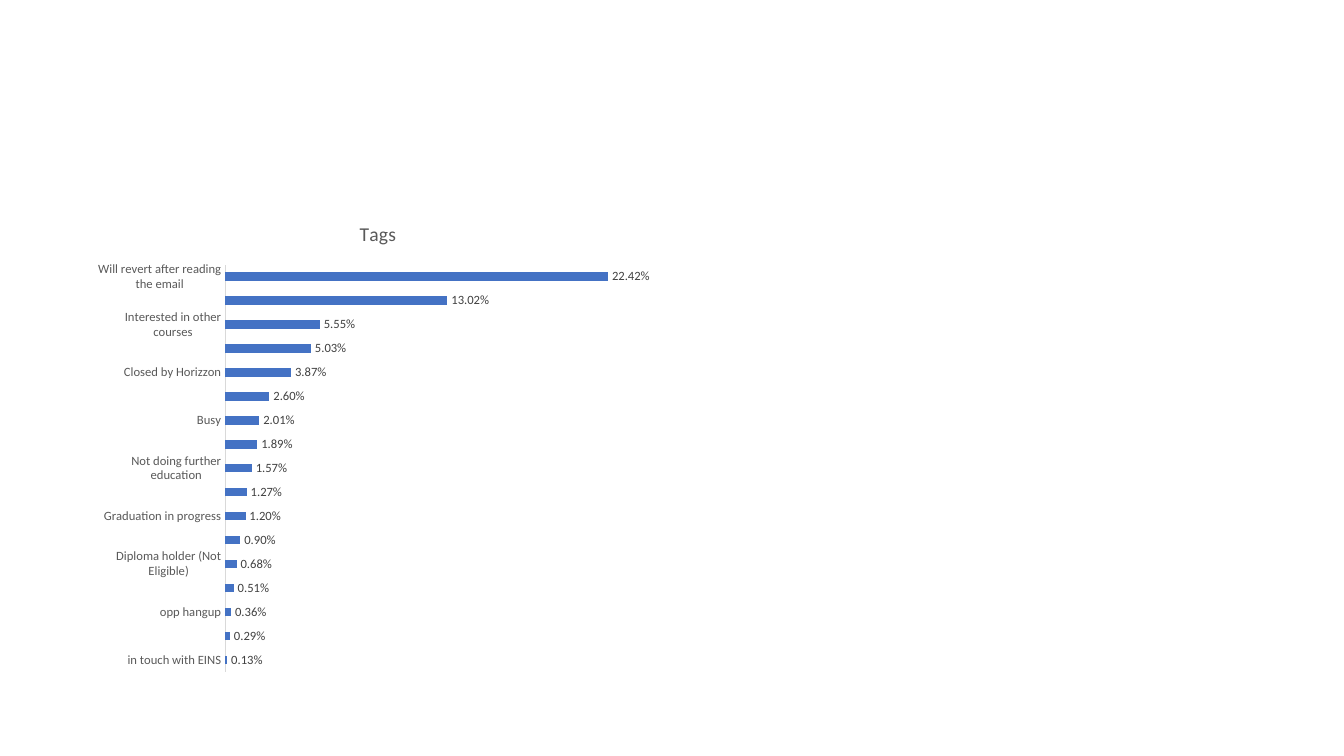
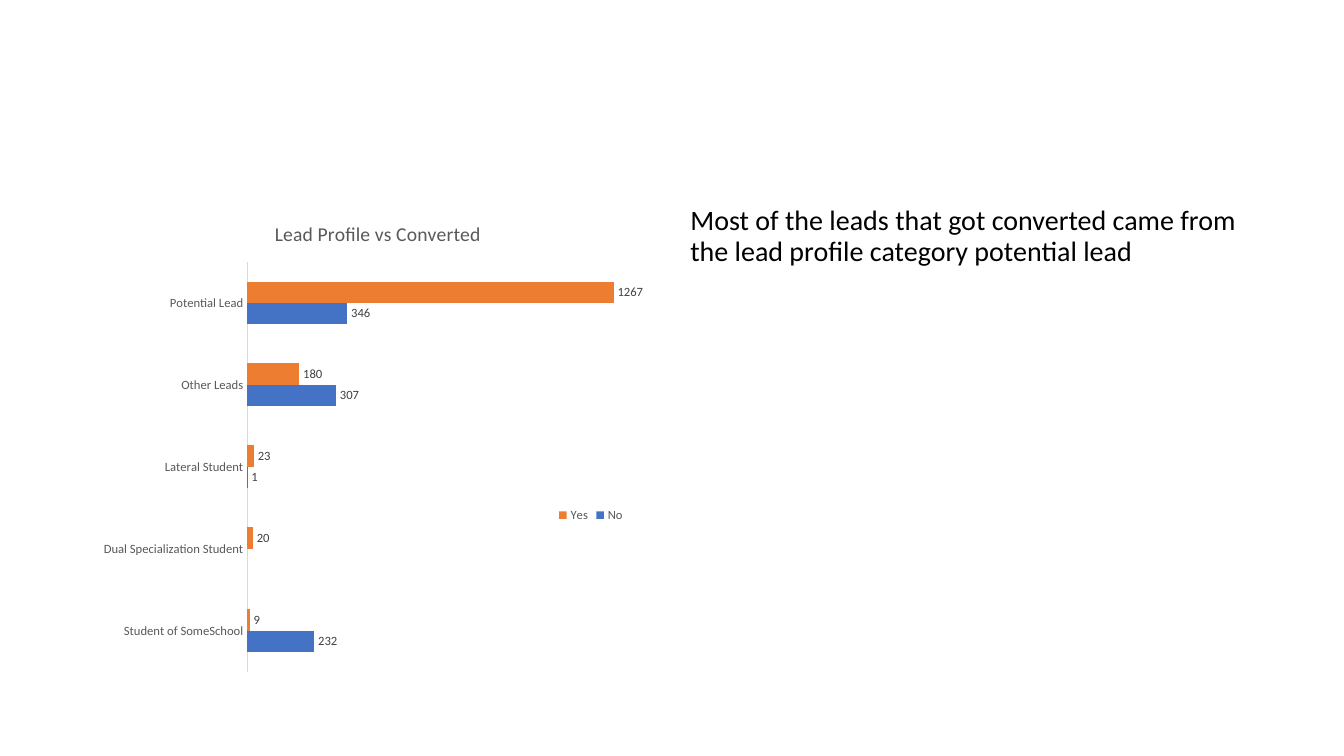
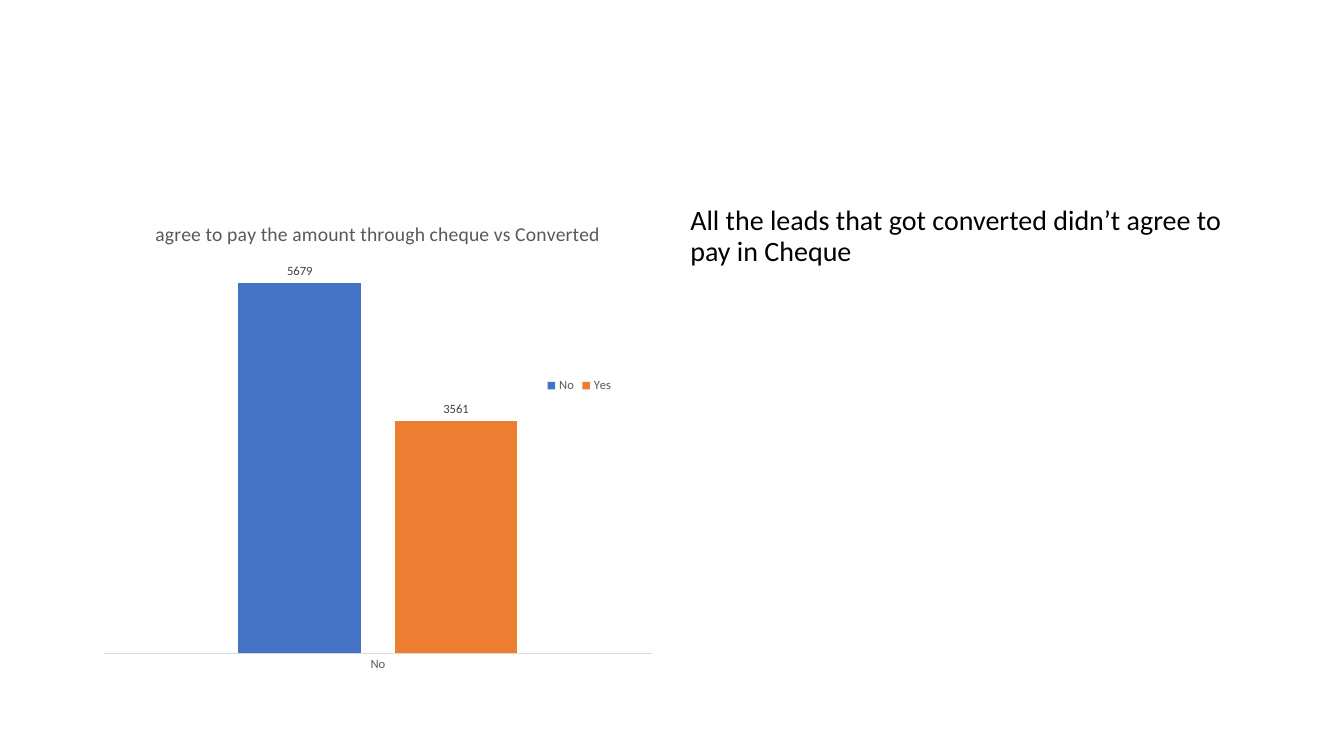
from pptx import Presentation, util as u
from pptx.chart import data as chart_data
from pptx.dml.color import RGBColor
from pptx.enum import chart as kinds
from pptx.oxml import parse_xml
from pptx.oxml.ns import nsdecls, qn


def color(value):
    return RGBColor.from_string(value)


class Deck:
    """Hold the shared style, the deck and its current page."""

    SCALE = 9525
    FONT = "Calibri"
    BLUE, ORANGE = "4472C4", "ED7D31"
    GREY, DARK, RULE, BLACK = "595959", "404040", "D9D9D9", "000000"
    TOP, WIDTH, HEIGHT = 192, 544, 457
    LEFT, RIGHT = 88, 648

    def __init__(self):
        self.deck = Presentation()
        self.deck.slide_width = self.px(1280)
        self.deck.slide_height = self.px(720)
        self.page = None

    def px(self, length):
        return u.Emu(length * self.SCALE)

    def frame(self, left):
        return [self.px(n) for n in (left, self.TOP, self.WIDTH, self.HEIGHT)]

    def style(self, font, size, shade):
        font.name = self.FONT
        font.size = u.Pt(size)
        font.bold = False
        font.color.rgb = color(shade)

    def add_page(self):
        self.page = self.deck.slides.add_slide(self.deck.slide_layouts[6])

    def add_finding(self, words):
        box = self.page.shapes.add_textbox(*self.frame(self.RIGHT))
        box.text_frame.word_wrap = True
        para = box.text_frame.paragraphs[0]
        para.line_spacing = 0.9
        span = para.add_run()
        span.text = words
        self.style(span.font, 20, self.BLACK)

    def add_bars(self, kind, title, categories, series, gap,
                 overlap=0, number_format="General", legend_at=None):
        data = chart_data.CategoryChartData(number_format=number_format)
        data.categories = categories
        for name, values in series:
            data.add_series(name, values)
        chart = self.page.shapes.add_chart(
            kind, *self.frame(self.LEFT), data).chart
        self.style(chart.font, 10, self.BLACK)
        self.add_title(chart, title)
        self.style_axes(chart)
        plot = chart.plots[0]
        plot.gap_width = gap
        plot.overlap = overlap
        plot.vary_by_categories = False
        for bars, fill in zip(plot.series, (self.BLUE, self.ORANGE)):
            bars.invert_if_negative = False
            bars.format.fill.solid()
            bars.format.fill.fore_color.rgb = color(fill)
            labels = bars.data_labels
            labels.show_value = True
            labels.position = kinds.XL_LABEL_POSITION.OUTSIDE_END
            labels.number_format = number_format
            labels.number_format_is_linked = False
            self.style(labels.font, 9, self.DARK)
        chart.has_legend = legend_at is not None
        if legend_at:
            self.place_legend(chart, *legend_at)

    def add_title(self, chart, title):
        chart.has_title = True
        chart.chart_title.include_in_layout = False
        span = chart.chart_title.text_frame.paragraphs[0].add_run()
        span.text = title
        self.style(span.font, 14, self.GREY)

    def style_axes(self, chart):
        axis = chart.category_axis
        axis.major_tick_mark = kinds.XL_TICK_MARK.NONE
        axis.minor_tick_mark = kinds.XL_TICK_MARK.NONE
        axis.format.line.color.rgb = color(self.RULE)
        axis.format.line.width = u.Pt(0.75)
        self.style(axis.tick_labels.font, 9, self.GREY)
        chart.value_axis.visible = False
        chart.value_axis.has_major_gridlines = False

    def place_legend(self, chart, left, top):
        legend = chart.legend
        legend.position = kinds.XL_LEGEND_POSITION.BOTTOM
        legend.include_in_layout = True
        self.style(legend.font, 9, self.GREY)
        layout = parse_xml(
            f'<c:layout {nsdecls("c")}><c:manualLayout>'
            '<c:xMode val="edge"/><c:yMode val="edge"/>'
            f'<c:x val="{left}"/><c:y val="{top}"/>'
            '</c:manualLayout></c:layout>')
        chart.element.find(".//" + qn("c:legendPos")).addnext(layout)


TAGS = ["in touch with EINS", "opp hangup", "Diploma holder (Not Eligible)",
        "Graduation in progress", "Not doing further education", "Busy",
        "Closed by Horizzon", "Interested in other courses",
        "Will revert after reading the email"]
SHARES = [0.0013, 0.0029, 0.0036, 0.0051, 0.0068, 0.009, 0.012, 0.0127,
          0.0157, 0.0189, 0.0201, 0.026, 0.0387, 0.0503, 0.0555, 0.1302,
          0.2242]
PROFILES = ["Student of SomeSchool", "Dual Specialization Student",
            "Lateral Student", "Other Leads", "Potential Lead"]


def main():
    deck = Deck()
    bar = kinds.XL_CHART_TYPE.BAR_CLUSTERED
    column = kinds.XL_CHART_TYPE.COLUMN_CLUSTERED

    deck.add_page()
    tag_labels = [""] * len(SHARES)
    tag_labels[::2] = TAGS
    deck.add_bars(bar, "Tags", tag_labels, [("Tags", SHARES)], 182,
                  number_format="0.00%")

    deck.add_page()
    deck.add_finding("Most of the leads that got converted came from "
                     "the lead profile category potential lead")
    deck.add_bars(bar, "Lead Profile vs Converted", PROFILES,
                  [("No", [232, None, 1, 307, 346]),
                   ("Yes", [9, 20, 23, 180, 1267])],
                  182, legend_at=(0.81, 0.63))

    deck.add_page()
    deck.add_finding("All the leads that got converted didn’t agree to "
                     "pay in Cheque")
    deck.add_bars(column,
                  "agree to pay the amount through cheque vs Converted",
                  ["No"], [("No", [5679]), ("Yes", [3561])],
                  219, overlap=-27, legend_at=(0.79, 0.36))

    deck.deck.save("out.pptx")


if __name__ == "__main__":
    main()
